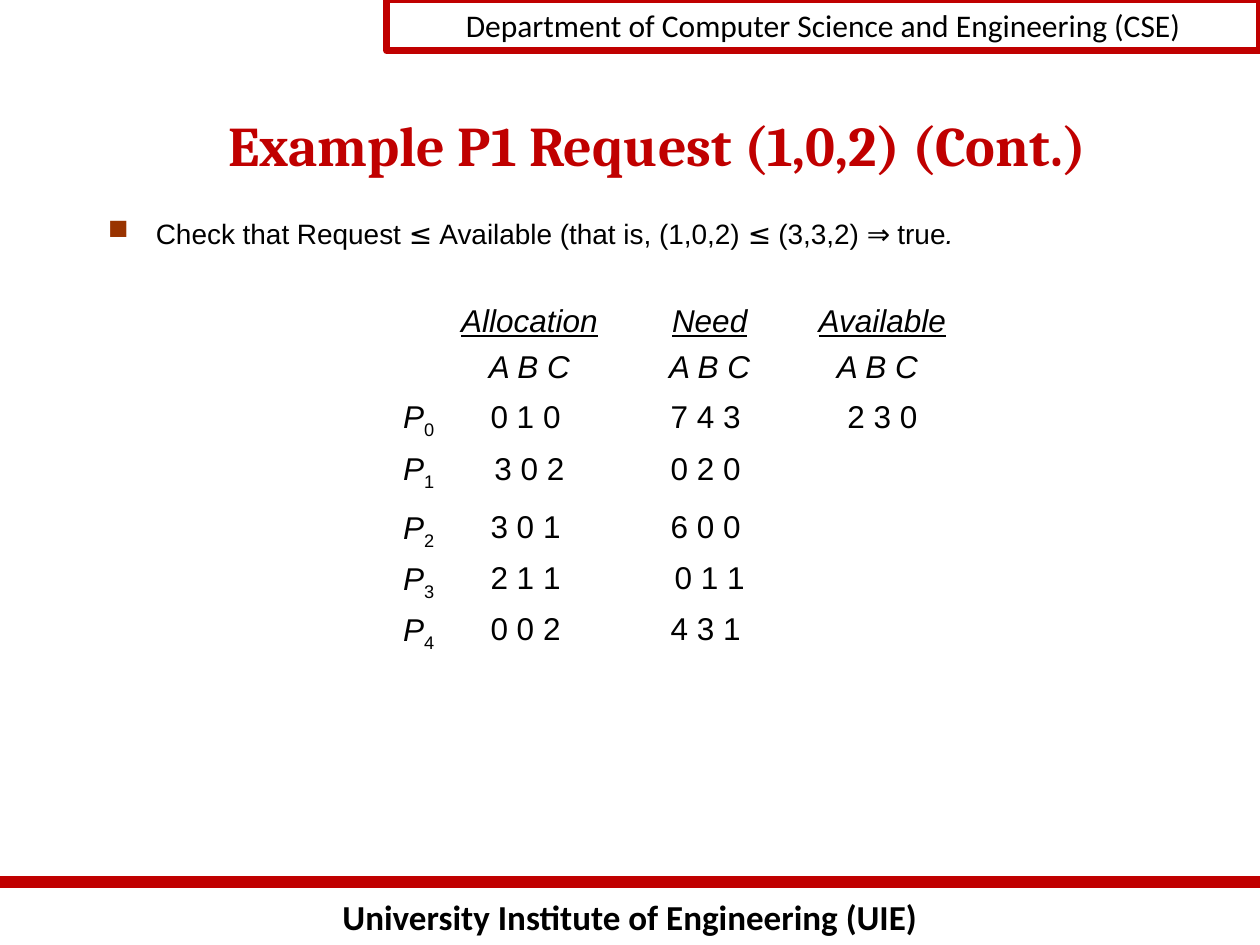
import pptx
import pptx.util
import pptx.enum.text
import pptx.enum.shapes
import pptx.dml.color
import pptx.oxml
import pptx.oxml.ns
import lxml.etree

Pt = pptx.util.Pt
Align = pptx.enum.text.PP_ALIGN
Anchor = pptx.enum.text.MSO_ANCHOR
Kind = pptx.enum.shapes.MSO_SHAPE
qn = pptx.oxml.ns.qn

HUES = {"red": "C00000", "ink": "000000", "rust": "993300"}


def tint(name):
    return pptx.dml.color.RGBColor.from_string(HUES[name])


def style(item, **fmt):
    for key, val in fmt.items():
        setattr(item, key, val)


def write(para, text, name, size, hue="ink", **fmt):
    run = para.add_run()
    run.text = text
    style(run.font, name=name, size=Pt(size), **fmt)
    run.font.color.rgb = tint(hue)
    return run


def frame(shape):
    text = shape.text_frame
    text.word_wrap = True
    return text


def banner(slide, x, y, w, h):
    box = slide.shapes.add_shape(Kind.RECTANGLE, Pt(x), Pt(y), Pt(w), Pt(h))
    box.shadow.inherit = False
    box.fill.background()
    box.line.color.rgb = tint("red")
    box.line.width = Pt(4)
    text = frame(box)
    text.vertical_anchor = Anchor.TOP
    para = text.paragraphs[0]
    para.alignment = Align.CENTER
    write(para, "Department of Computer Science and Engineering (CSE)", "Calibri", 18)


def footer(slide, x, y, w, h):
    rule = slide.shapes.add_connector(
        pptx.enum.shapes.MSO_CONNECTOR.STRAIGHT, Pt(x), Pt(y), Pt(x + w), Pt(y))
    rule.line.color.rgb = tint("red")
    rule.line.width = Pt(7)
    lxml.etree.SubElement(rule._element.spPr, qn("a:effectLst"))
    box = slide.shapes.add_textbox(Pt(x), Pt(y + 4.3), Pt(w), Pt(h - 4.3))
    para = frame(box).paragraphs[0]
    para.alignment = Align.CENTER
    write(para, "University Institute of Engineering (UIE)", "Calibri", 20, bold=True)


def title(slide, x, y, w, h):
    head = slide.shapes.title
    style(head, left=Pt(x), top=Pt(y), width=Pt(w), height=Pt(h))
    text = frame(head)
    text.vertical_anchor = Anchor.MIDDLE
    para = text.paragraphs[0]
    para.alignment = Align.CENTER
    write(para, "Example P1 Request (1,0,2) (Cont.)", "Cambria", 32, "red", bold=True)


def body(slide, x, y, w, h):
    box = slide.shapes.add_textbox(Pt(x), Pt(y), Pt(w), Pt(h))
    para = frame(box).paragraphs[0]
    props = para._p.get_or_add_pPr()
    props.set("marL", str(Pt(28)))
    props.set("indent", str(Pt(-27.4)))
    hue = lxml.etree.SubElement(props, qn("a:buClr"))
    lxml.etree.SubElement(hue, qn("a:srgbClr")).set("val", HUES["rust"])
    lxml.etree.SubElement(props, qn("a:buChar")).set("char", "■")
    parts = ["Check that Request ", "≤ ", "Available (that is, (1,0,2) ", "≤ ",
             "(3,3,2) ", "⇒ ", "true"]
    for i, part in enumerate(parts):
        write(para, part, "Noto Sans" if i % 2 else "Arial", 16)
    write(para, ".", "Arial", 16, italic=True)


ROWS = [
    ["", "Allocation", "Need", "Available"],
    ["", "A B C", "A B C", "A B C"],
    ["P0", "0 1 0", "7 4 3", "2 3 0"],
    ["P1", "3 0 2", "0 2 0", ""],
    ["P2", "3 0 1", "6 0 0", ""],
    ["P3", "2 1 1", "0 1 1", ""],
    ["P4", "0 0 2", "4 3 1", ""],
]
WIDE = [28, 105, 87, 95]
HIGH = [24, 28.8, 31, 29.5, 28.8, 28.8, 25.2]
SPACE = [0.97, 1, 1, 1, 1.19, 1.19, 1.19]
LEFT = [19.5, 30, 36]
WIDER = {(0, 1), (1, 1), (3, 1), (0, 2), (1, 2), (5, 2)}


def fill(cell, r, c, text):
    style(cell, margin_left=0, margin_right=0, margin_bottom=0,
          margin_top=Pt(1.5 if r in (1, 2) else 0))
    cell.fill.background()
    para = cell.text_frame.paragraphs[0]
    para.line_spacing = SPACE[r]
    if not text:
        para.font.size = Pt(18)
    elif c == 0:
        para._p.get_or_add_pPr().set("marL", str(Pt(2)))
        write(para, text[0], "Arial", 18, italic=True)
        sub = write(para, text[1], "Arial", 18)
        sub._r.get_or_add_rPr().set("baseline", "-25000")
    else:
        write(para, text, "Arial", 18, italic=r < 2, underline=r == 0)
        if c == 3:
            para._p.get_or_add_pPr().set("marL", str(Pt(LEFT[r])))
        else:
            para.alignment = Align.CENTER
            gap = {1: 17, 2: 3}[c] - (4.5 if (r, c) in WIDER else 0)
            cell.margin_right = Pt(max(gap, 0))
            cell.margin_left = Pt(max(-gap, 0))


def grid(slide, x, y):
    shape = slide.shapes.add_table(
        len(ROWS), len(WIDE), Pt(x), Pt(y), Pt(sum(WIDE)), Pt(sum(HIGH)))
    table = shape.table
    style(table, first_row=False, horz_banding=False)
    for col, size in zip(table.columns, WIDE):
        col.width = Pt(size)
    for r, (row, size) in enumerate(zip(table.rows, HIGH)):
        row.height = Pt(size)
        for c, text in enumerate(ROWS[r]):
            fill(table.cell(r, c), r, c, text)
    table.cell(0, 0).merge(table.cell(1, 0))


def main():
    deck = pptx.Presentation()
    style(deck, slide_width=Pt(720), slide_height=Pt(540))
    slide = deck.slides.add_slide(deck.slide_layouts[5])
    footer(slide, 0, 504, 720, 36)
    banner(slide, 221, 0, 499, 29)
    title(slide, 69, 60, 613.5, 45)
    body(slide, 54, 120, 642, 352)
    grid(slide, 228.3, 174.3)
    deck.save("out.pptx")


if __name__ == "__main__":
    main()
